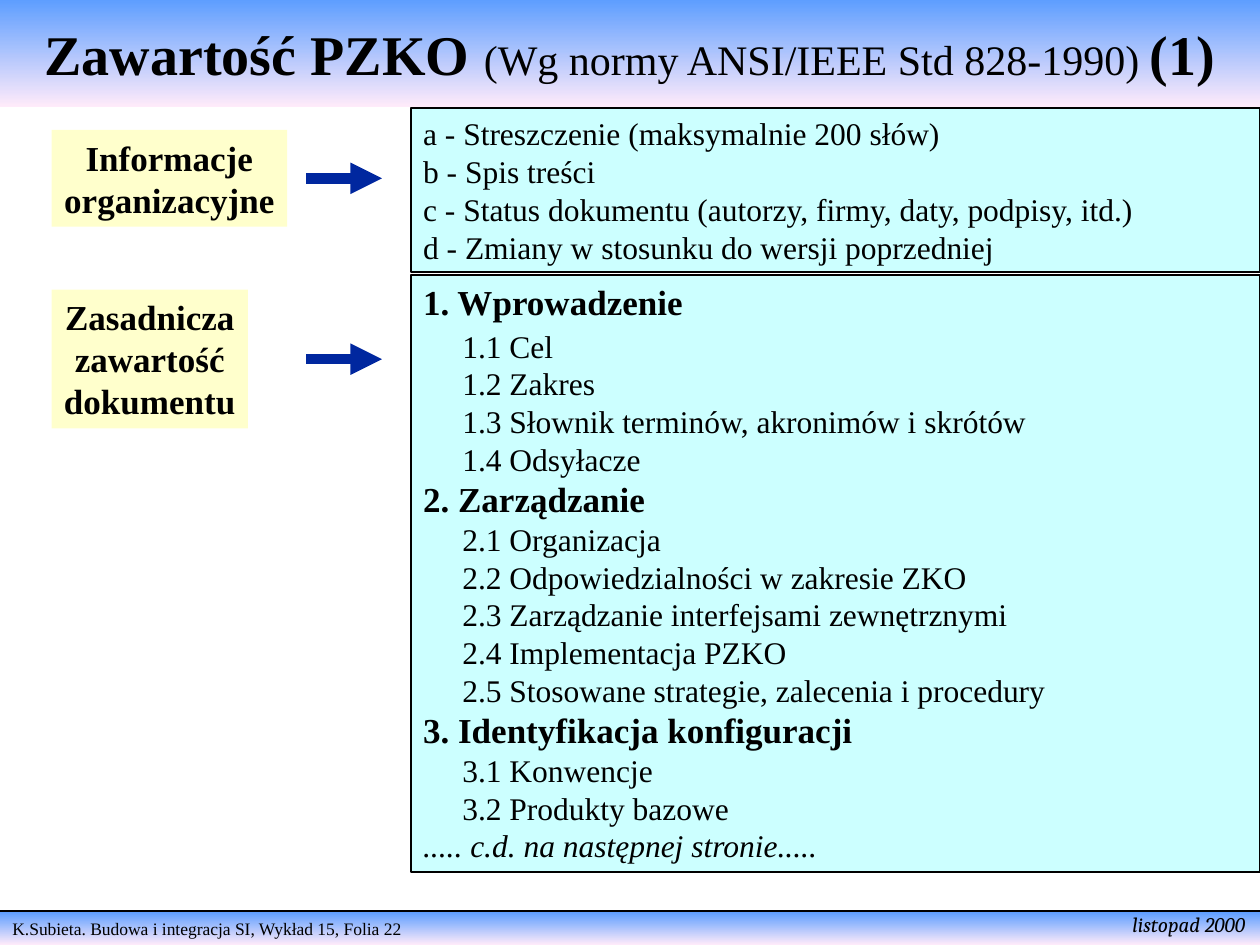
from lxml import etree
from pptx import Presentation, util as u
from pptx.dml.color import RGBColor
from pptx.enum import shapes, text
from pptx.oxml import ns

BLACK = RGBColor(0x00, 0x00, 0x00)
SKY = RGBColor(0x5E, 0x9E, 0xFF)
PINK = RGBColor(0xFF, 0xEB, 0xFA)
CYAN = RGBColor(0xCC, 0xFF, 0xFF)
CREAM = RGBColor(0xFF, 0xFF, 0xCC)
NAVY = RGBColor(0x00, 0x27, 0x9F)
SERIF = "Times New Roman"

TITLE = [("Zawartość PZKO ", 32, True),
         ("(Wg normy ANSI/IEEE Std 828-1990) ", 24, False),
         ("(1)", 32, True)]
FOOTER = "K.Subieta. Budowa i integracja SI, Wykład 15, Folia 22"
DATE = "listopad 2000"
ORGANISATION = [
    "a - Streszczenie (maksymalnie 200 słów)",
    "b - Spis treści",
    "c - Status dokumentu (autorzy, firmy, daty, podpisy, itd.)",
    "d - Zmiany w stosunku do wersji poprzedniej",
]
CHAPTERS = [
    ("1. Wprowadzenie", ["1.1 Cel", "1.2 Zakres",
                         "1.3 Słownik terminów, akronimów i skrótów",
                         "1.4 Odsyłacze"]),
    ("2. Zarządzanie", ["2.1 Organizacja",
                        "2.2 Odpowiedzialności w zakresie ZKO",
                        "2.3 Zarządzanie interfejsami zewnętrznymi",
                        "2.4 Implementacja PZKO",
                        "2.5 Stosowane strategie, zalecenia i procedury"]),
    ("3. Identyfikacja konfiguracji", ["3.1 Konwencje", "3.2 Produkty bazowe"]),
]
CONTINUED = "..... c.d. na następnej stronie....."
# lines, top, width, height in cm
LABELS = [
    (["Informacje", "organizacyjne"], 2.62, 4.75, 1.95),
    (["Zasadnicza", "zawartość", "dokumentu"], 5.84, 3.96, 2.8),
]

WIDTH, HEIGHT = 25.4, 19.05
LABEL_LEFT = 1.04
ARROW_LEFT, ARROW_RIGHT = 6.17, 7.7
PANEL_LEFT = 8.28
PANEL_WIDTH = WIDTH - PANEL_LEFT
FOOTER_TOP = 18.39

deck = Presentation()
deck.slide_width, deck.slide_height = u.Cm(WIDTH), u.Cm(HEIGHT)
page = deck.slides.add_slide(deck.slide_layouts[6])


def style(font, size, bold=False, italic=False, name=SERIF):
    font.name, font.size, font.bold, font.italic = name, u.Pt(size), bold, italic
    font.color.rgb = BLACK


def add_box(left, top, width, height, fill=None, outlined=False):
    """Add a rectangle; without a fill colour it gets the sky gradient."""
    box = page.shapes.add_shape(shapes.MSO_SHAPE.RECTANGLE,
                                *map(u.Cm, (left, top, width, height)))
    box.shadow.inherit = False
    if fill is None:
        box.fill.gradient()
        box.fill.gradient_angle = 270
        for stop, color in zip(box.fill.gradient_stops, (SKY, PINK)):
            stop.color.rgb = color
    else:
        box.fill.solid()
        box.fill.fore_color.rgb = fill
    if outlined:
        box.line.color.rgb = BLACK
        box.line.width = u.Pt(1)
    else:
        box.line.fill.background()
    box.text_frame.vertical_anchor = text.MSO_ANCHOR.TOP
    return box


def write(box, lines, size, bold=False, align=text.PP_ALIGN.LEFT):
    box.text_frame.text = "\n".join(lines)
    for para in box.text_frame.paragraphs:
        para.alignment = align
        for span in para.runs:
            style(span.font, size, bold)


def add_line(left, right, y, color, weight):
    line = page.shapes.add_connector(shapes.MSO_CONNECTOR.STRAIGHT,
                                     *map(u.Cm, (left, y, right, y)))
    line.line.color.rgb = color
    line.line.width = u.Pt(weight)
    etree.SubElement(line._element.spPr, ns.qn("a:effectLst"))
    return line


# Footer
write(add_box(0, FOOTER_TOP, WIDTH, HEIGHT - FOOTER_TOP), [FOOTER], 10)
add_line(0, WIDTH, 18.36, BLACK, 1)
date_box = page.shapes.add_textbox(u.Cm(22.58), u.Cm(18.26), u.Cm(2.82), u.Cm(0.76))
date_box.text_frame.text = DATE
style(date_box.text_frame.paragraphs[0].runs[0].font, 12, italic=True, name="Cambria")

# Title
title = add_box(0, 0, WIDTH, 2.16)
title.text_frame.vertical_anchor = text.MSO_ANCHOR.MIDDLE
para = title.text_frame.paragraphs[0]
para.alignment = text.PP_ALIGN.CENTER
for words, size, bold in TITLE:
    span = para.add_run()
    span.text = words
    style(span.font, size, bold)

# Panels
write(add_box(PANEL_LEFT, 2.18, PANEL_WIDTH, 3.3, CYAN, True), ORGANISATION, 18)

contents = add_box(PANEL_LEFT, 5.54, PANEL_WIDTH, 12.04, CYAN, True)
outline = [entry for heading, items in CHAPTERS
           for entry in [(heading, True)] + [(item, False) for item in items]]
write(contents, [words for words, _ in outline] + [CONTINUED], 18)
paragraphs = contents.text_frame.paragraphs
for para, (_, is_heading) in zip(paragraphs, outline):
    if is_heading:
        style(para.runs[0].font, 20, True)
    else:
        para._p.get_or_add_pPr().set("marL", str(u.Cm(0.79)))
paragraphs[0].space_after = u.Pt(2)
paragraphs[-1].runs[0].font.italic = True

# Labels, each with an arrow at its middle height
for lines, top, width, height in LABELS:
    label = add_box(LABEL_LEFT, top, width, height, CREAM)
    label.text_frame.word_wrap = False
    write(label, lines, 20, True, text.PP_ALIGN.CENTER)
    arrow = add_line(ARROW_LEFT, ARROW_RIGHT, top + height / 2, NAVY, 6)
    etree.SubElement(arrow.line._get_or_add_ln(), ns.qn("a:tailEnd"), type="triangle")

deck.save("out.pptx")
